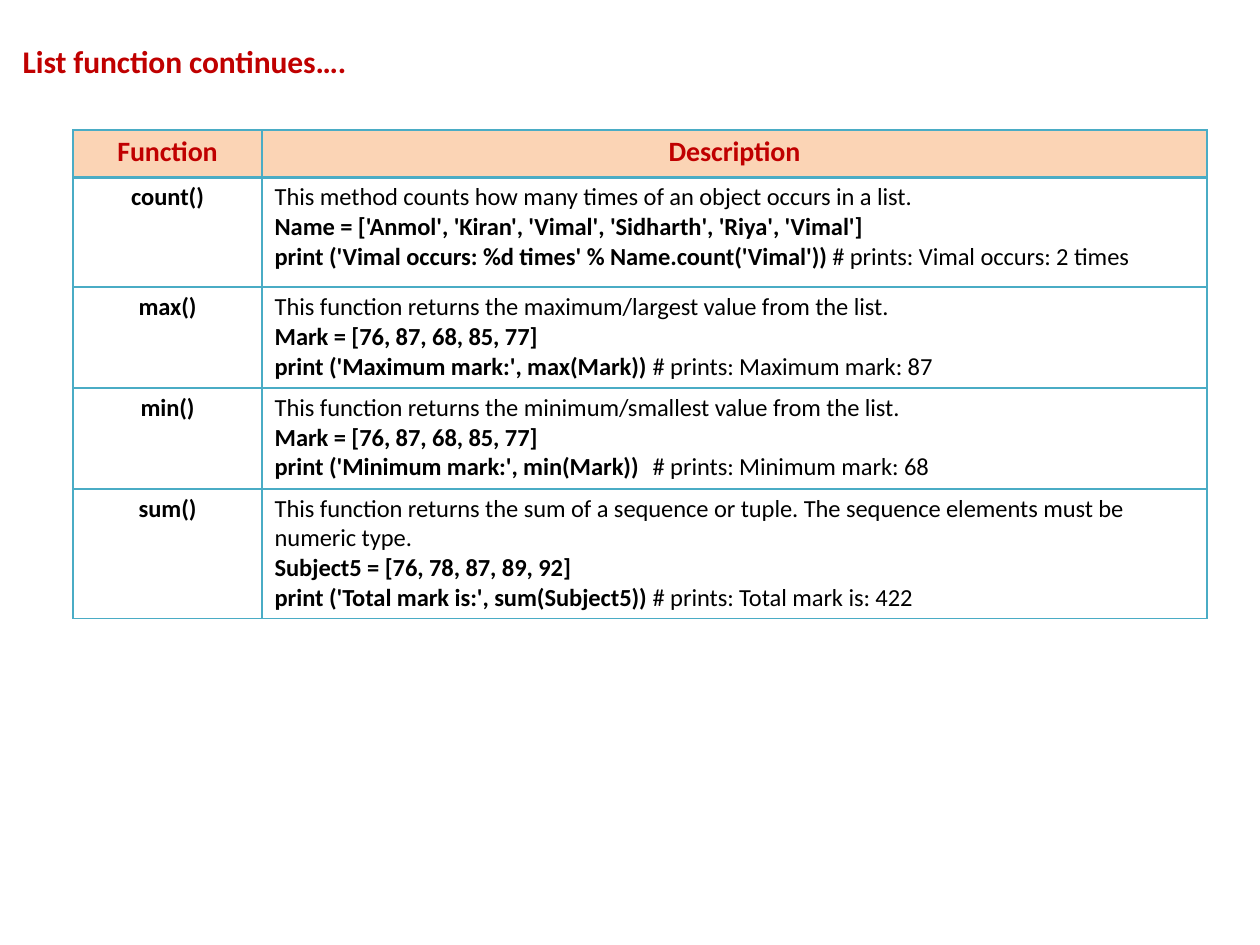
from dataclasses import dataclass

from lxml import etree
from pptx import Presentation
from pptx import util as u
from pptx.dml.color import RGBColor
from pptx.enum import text
from pptx.oxml import ns

COLORS = {"accent": "C00000", "header": "FBD4B5", "border": "4AACC5", "body": "000000"}
FONT = "Calibri"
COLUMN_WIDTHS = (1.5, 7.5)
HEADINGS = ("Function", "Description")
HEADER_HEIGHT = 0.38
HEADER_RULE = 2.25
GRID_RULE = 1.0


@dataclass
class ListFunction:
    name: str
    height: float
    description: str
    data: str
    call: str
    comment: str
    tab: float | None = None  # position of the comment, in inches


FUNCTIONS = [
    ListFunction("count()", 0.87,
                 "This method counts how many times of an object occurs in a list.",
                 "Name = ['Anmol', 'Kiran', 'Vimal', 'Sidharth', 'Riya', 'Vimal']",
                 "print ('Vimal occurs: %d times' % Name.count('Vimal')) ",
                 "# prints: Vimal occurs: 2 times"),
    ListFunction("max()", 0.8,
                 "This function returns the maximum/largest value from the list.",
                 "Mark = [76, 87, 68, 85, 77]",
                 "print ('Maximum mark:', max(Mark))\t",
                 "# prints: Maximum mark: 87", 3.28),
    ListFunction("min()", 0.8,
                 "This function returns the minimum/smallest value from the list.",
                 "Mark = [76, 87, 68, 85, 77]",
                 "print ('Minimum mark:', min(Mark))\t",
                 "# prints: Minimum mark: 68", 3.18),
    ListFunction("sum()", 1.03,
                 "This function returns the sum of a sequence or tuple. "
                 "The sequence elements must be numeric type.",
                 "Subject5 = [76, 78, 87, 89, 92]",
                 "print ('Total mark is:', sum(Subject5))\t",
                 "# prints: Total mark is: 422", 3.29),
]


def color(name: str) -> RGBColor:
    return RGBColor.from_string(COLORS[name])


def write(paragraph, parts: list[tuple[str, bool]], size: float, color_name: str,
          before: float = 0, indent: float = 0, tab: float | None = None,
          align=text.PP_ALIGN.LEFT) -> None:
    """Fill a paragraph with (wording, bold) parts."""
    paragraph.alignment = align
    paragraph.space_before = u.Pt(before)
    properties = paragraph._p.get_or_add_pPr()
    properties.set("marL", str(u.Inches(indent)))
    properties.set("indent", "0")
    if tab is not None:
        tabs = etree.SubElement(properties, ns.qn("a:tabLst"))
        etree.SubElement(tabs, ns.qn("a:tab"), pos=str(u.Inches(tab)), algn="l")
    font = paragraph.font
    font.name, font.size = FONT, u.Pt(size)
    font.color.rgb = color(color_name)
    for wording, bold in parts:
        run = paragraph.add_run()
        run.text = wording
        run.font.bold = bold
        run._r.get_or_add_rPr().set("spc", "-5")


def set_borders(cell, top: float, bottom: float) -> None:
    properties = cell._tc.get_or_add_tcPr()
    widths = {"L": GRID_RULE, "R": GRID_RULE, "T": top, "B": bottom}
    for side, width in widths.items():
        line = etree.SubElement(properties, ns.qn(f"a:ln{side}"), w=str(u.Pt(width)))
        fill = etree.SubElement(line, ns.qn("a:solidFill"))
        etree.SubElement(fill, ns.qn("a:srgbClr"), val=COLORS["border"])


def format_cell(cell, row: int) -> None:
    cell.margin_left = cell.margin_right = cell.margin_bottom = 0
    cell.margin_top = u.Inches(0.04)
    set_borders(cell, top=HEADER_RULE if row == 1 else GRID_RULE,
                bottom=HEADER_RULE if row == 0 else GRID_RULE)
    if row == 0:
        cell.fill.solid()
        cell.fill.fore_color.rgb = color("header")
    else:
        cell.fill.background()


def describe(frame, function: ListFunction) -> None:
    lines = [
        [(function.description, False)],
        [(function.data, True)],
        [(function.call, True), (function.comment, False)],
    ]
    for index, parts in enumerate(lines):
        paragraph = frame.add_paragraph() if index else frame.paragraphs[0]
        write(paragraph, parts, 14, "body", before=0 if index else 2.7, indent=0.1,
              tab=function.tab if index == 2 else None)


def add_function_table(slide) -> None:
    heights = [HEADER_HEIGHT] + [function.height for function in FUNCTIONS]
    table = slide.shapes.add_table(
        len(heights), len(COLUMN_WIDTHS), u.Inches(0.58), u.Inches(1.03),
        u.Inches(sum(COLUMN_WIDTHS)), u.Inches(sum(heights))).table
    table.first_row = table.horz_banding = False
    for column, width in zip(table.columns, COLUMN_WIDTHS):
        column.width = u.Inches(width)
    for index, height in enumerate(heights):
        table.rows[index].height = u.Inches(height)
        for cell in table.rows[index].cells:
            format_cell(cell, index)

    # Header row
    for cell, heading in zip(table.rows[0].cells, HEADINGS):
        write(cell.text_frame.paragraphs[0], [(heading, True)], 16, "accent",
              before=3, align=text.PP_ALIGN.CENTER)

    # One row per function
    for row, function in enumerate(FUNCTIONS, start=1):
        write(table.cell(row, 0).text_frame.paragraphs[0], [(function.name, True)],
              14, "body", before=2.7, align=text.PP_ALIGN.CENTER)
        describe(table.cell(row, 1).text_frame, function)


def add_title(slide) -> None:
    frame = slide.shapes.add_textbox(
        u.Inches(0.17), u.Inches(0.32), u.Inches(2.61), u.Inches(0.33)).text_frame
    frame.word_wrap = True
    frame.margin_left = frame.margin_right = frame.margin_bottom = 0
    frame.margin_top = u.Inches(0.01)
    write(frame.paragraphs[0], [("List function continues….", True)], 18, "accent",
          indent=0.01)


def main() -> None:
    presentation = Presentation()
    presentation.slide_width = u.Inches(10)
    presentation.slide_height = u.Inches(7.5)
    slide = presentation.slides.add_slide(presentation.slide_layouts[6])
    add_function_table(slide)
    add_title(slide)
    presentation.save("out.pptx")


if __name__ == "__main__":
    main()
